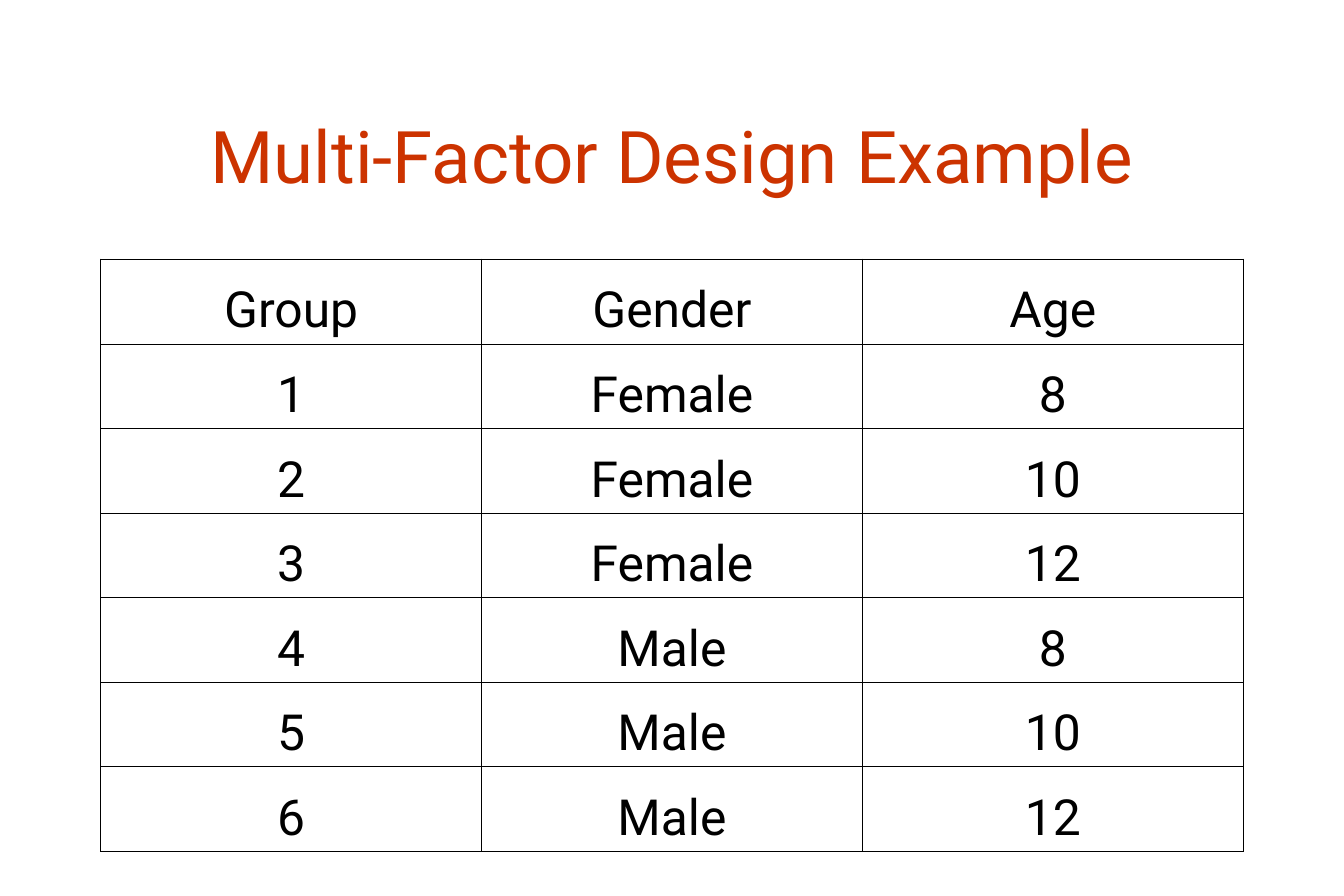
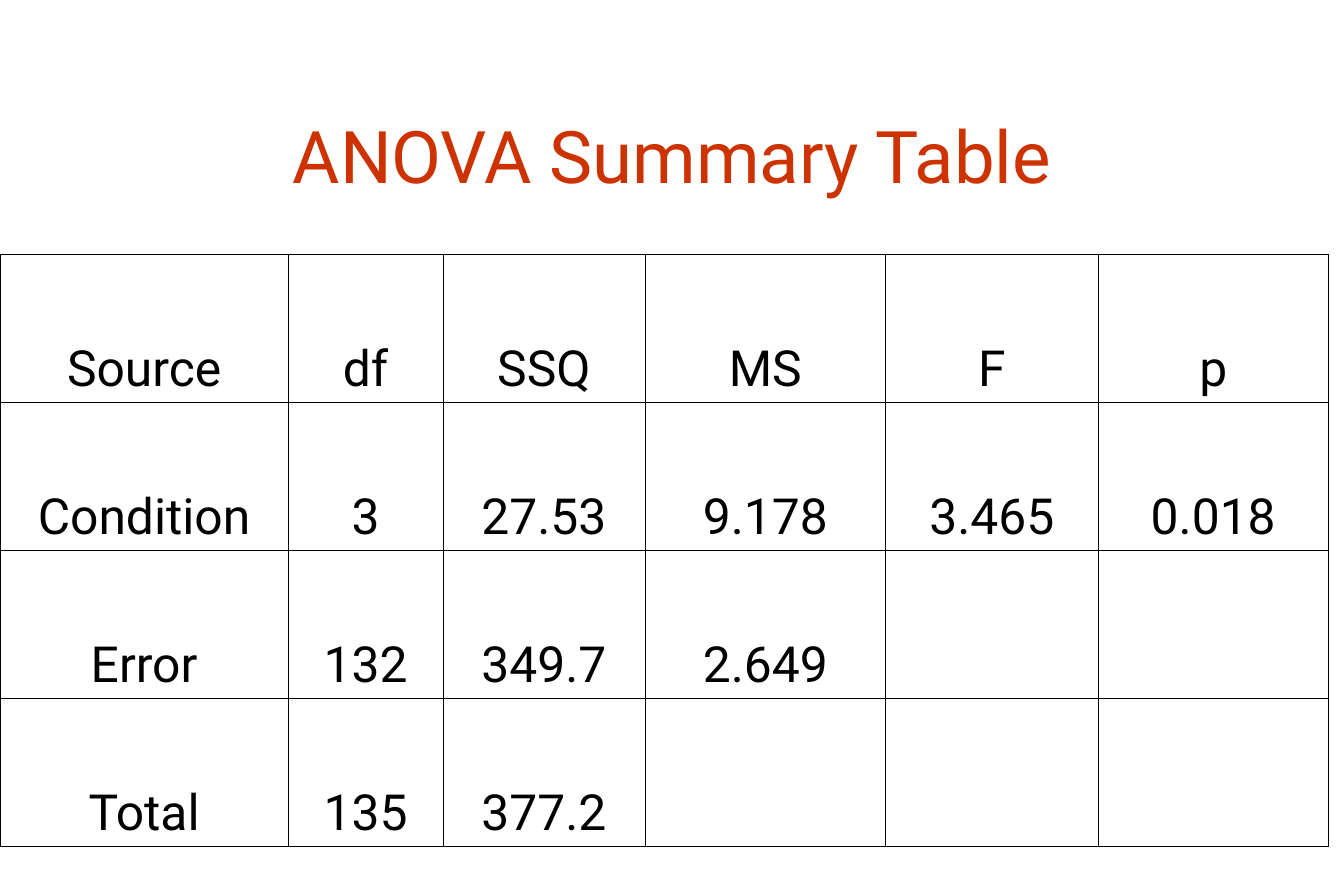
"""Build two slides that each show a title above a ruled table."""
from dataclasses import dataclass

from lxml.etree import SubElement
from pptx import Presentation
from pptx.dml.color import RGBColor
from pptx.enum.text import MSO_ANCHOR, MSO_AUTO_SIZE, PP_ALIGN
from pptx.oxml.ns import qn
from pptx.util import Pt

SLIDES = [
    {
        "title": "Multi-Factor Design Example",
        "left": 97.2, "top": 250, "height": 571,
        "columns": [367.2] * 3,
        "rows": [
            ("Group", "Gender", "Age"),
            ("1", "Female", "8"),
            ("2", "Female", "10"),
            ("3", "Female", "12"),
            ("4", "Male", "8"),
            ("5", "Male", "10"),
            ("6", "Male", "12"),
        ],
    },
    {
        "title": "ANOVA Summary Table",
        "left": 0, "top": 245, "height": 571,
        "columns": [278, 149, 195, 232, 205, 222],
        "rows": [
            ("Source", "df", "SSQ", "MS", "F", "p"),
            ("Condition", "3", "27.53", "9.178", "3.465", "0.018"),
            ("Error", "132", "349.7", "2.649", "", ""),
            ("Total", "135", "377.2", "", "", ""),
        ],
    },
]


@dataclass(frozen=True)
class Theme:
    font: str = "Roboto"
    title_color: str = "CC3300"
    text_color: str = "000000"
    border_color: str = "000000"
    title_size: float = 70
    text_size: float = 48
    outer_border: float = 1.08
    inner_border: float = 0.45


THEME = Theme()
SLIDE_SIZE = (1296, 864)
TITLE_BOX = (97.2, 77, 1101.6, 144)
TITLE_MARGINS = (11.5, 5.8)
CELL_MARGINS = (18.7, 3.6)


def write_text(text_frame, text, *, size, color, align=PP_ALIGN.CENTER):
    paragraph = text_frame.paragraphs[0]
    paragraph.alignment = align
    if text:
        run = paragraph.add_run()
        run.text = text
        run.font.name = THEME.font
        run.font.size = Pt(size)
        run.font.color.rgb = RGBColor.from_string(color)


def set_layout(box, margins, anchor):
    box.margin_left = box.margin_right = Pt(margins[0])
    box.margin_top = box.margin_bottom = Pt(margins[1])
    box.vertical_anchor = anchor


def set_borders(cell, outer_sides):
    properties = cell._tc.get_or_add_tcPr()
    for side in "LRTB":
        width = THEME.outer_border if side in outer_sides else THEME.inner_border
        line = SubElement(properties, qn(f"a:ln{side}"), w=str(int(Pt(width))))
        fill = SubElement(line, qn("a:solidFill"))
        SubElement(fill, qn("a:srgbClr"), val=THEME.border_color)


def add_title(slide, text):
    title = slide.shapes.title
    title.left, title.top, title.width, title.height = map(Pt, TITLE_BOX)
    text_frame = title.text_frame
    text_frame.word_wrap = True
    text_frame.auto_size = MSO_AUTO_SIZE.NONE
    set_layout(text_frame, TITLE_MARGINS, MSO_ANCHOR.MIDDLE)
    write_text(text_frame, text, size=THEME.title_size, color=THEME.title_color)


def add_ruled_table(slide, content):
    rows, columns = content["rows"], content["columns"]
    last_row, last_column = len(rows) - 1, len(columns) - 1
    table = slide.shapes.add_table(
        len(rows), len(columns), Pt(content["left"]), Pt(content["top"]),
        Pt(sum(columns)), Pt(content["height"])).table
    table.first_row = table.horz_banding = False
    for column, width in zip(table.columns, columns):
        column.width = Pt(width)
    for row_index, values in enumerate(rows):
        for column_index, value in enumerate(values):
            cell = table.cell(row_index, column_index)
            edges = {"L": column_index == 0, "R": column_index == last_column,
                     "T": row_index == 0, "B": row_index == last_row}
            set_layout(cell, CELL_MARGINS, MSO_ANCHOR.BOTTOM)
            set_borders(cell, [side for side, is_outer in edges.items() if is_outer])
            cell.fill.background()
            write_text(cell.text_frame, value, size=THEME.text_size, color=THEME.text_color)


def main():
    presentation = Presentation()
    presentation.slide_width, presentation.slide_height = map(Pt, SLIDE_SIZE)
    title_only = presentation.slide_layouts.get_by_name("Title Only")
    for content in SLIDES:
        slide = presentation.slides.add_slide(title_only)
        add_title(slide, content["title"])
        add_ruled_table(slide, content)
    presentation.save("out.pptx")


if __name__ == "__main__":
    main()
